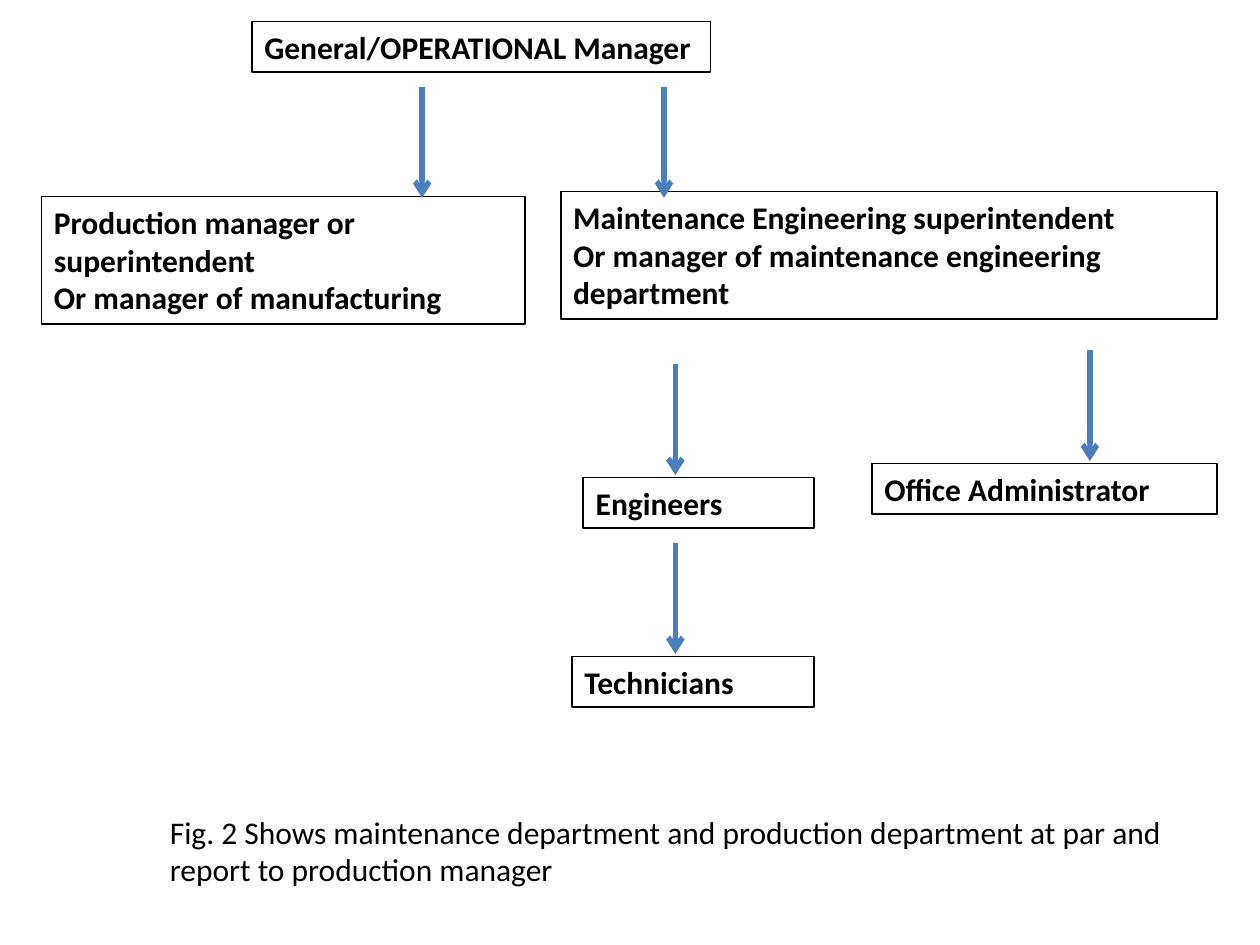
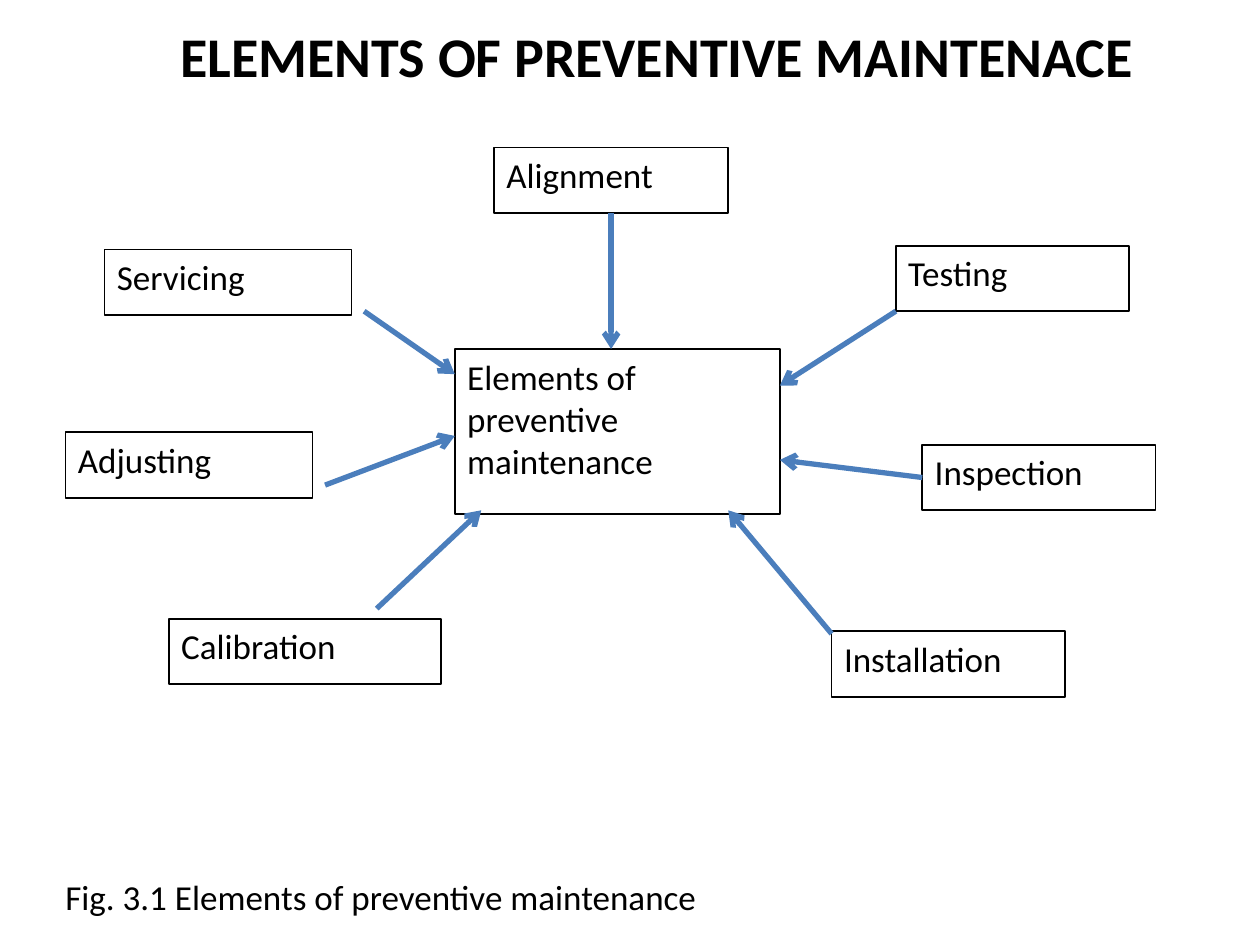
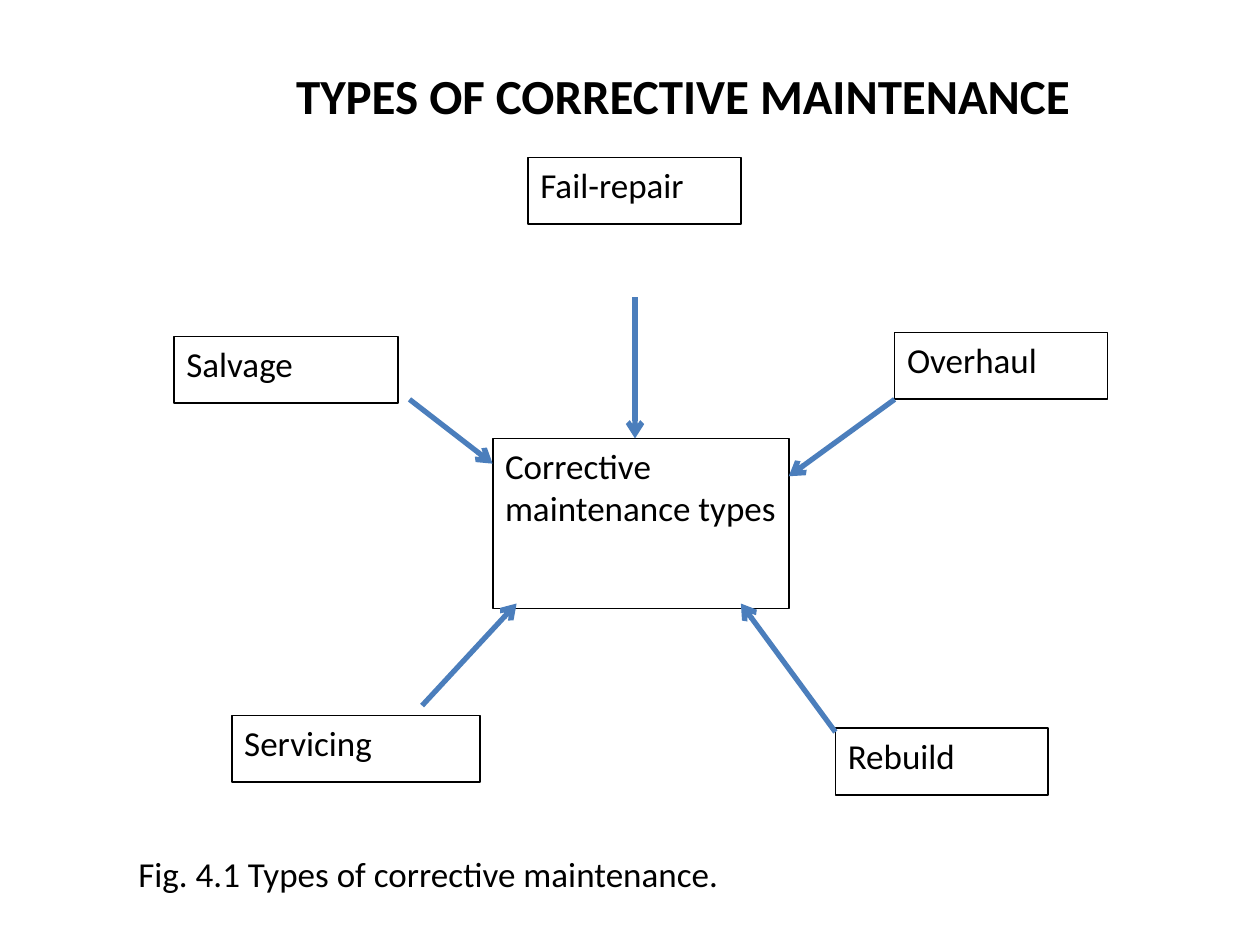
from dataclasses import dataclass
from typing import Optional

import pptx
import pptx.dml.color
import pptx.enum.shapes
import pptx.enum.text
import pptx.oxml
import pptx.oxml.ns
import pptx.shapes.autoshape
import pptx.slide
import pptx.util

SCALE = 9144
BOTTOM, LEFT = 2, 1


def px(size: int) -> int:
    return pptx.util.Emu(size * SCALE)


def tint(code: str) -> pptx.dml.color.RGBColor:
    return pptx.dml.color.RGBColor.from_string(code)


@dataclass(frozen=True)
class Theme:
    font: str = "Calibri"
    ink: str = "000000"
    arrow: str = "4B7EBC"
    edge: int = 1
    stroke: int = 3
    chart: int = 18
    body: int = 20


@dataclass(frozen=True)
class Box:
    text: str
    x: int
    y: int
    wide: int
    high: int


@dataclass(frozen=True)
class Arrow:
    x1: int
    y1: int
    x2: int
    y2: int
    owner: str = ""
    side: int = 0


@dataclass(frozen=True)
class Page:
    note: Box
    boxes: list[Box]
    arrows: list[Arrow]
    size: int
    bold: bool = False
    title: Optional[Box] = None
    head: int = 0


THEME = Theme()

STAFF = Page(
    note=Box("Fig. 2 Shows maintenance department and production department "
             "at par and report to production manager", 125, 640, 850, 93),
    boxes=[
        Box("General/OPERATIONAL Manager", 200, 17, 364, 40),
        Box("Production manager or superintendent\n"
            "Or manager of manufacturing", 33, 156, 384, 101),
        Box("Maintenance Engineering superintendent\n"
            "Or manager of maintenance engineering department",
            445, 152, 521, 101),
        Box("Engineers", 463, 379, 183, 40),
        Box("Technicians", 454, 521, 192, 40),
        Box("Office Administrator", 692, 368, 274, 40),
    ],
    arrows=[Arrow(x, y, x, y + 88) for x, y in
            [(335, 69), (527, 69), (865, 278), (536, 289), (536, 431)]],
    size=THEME.chart,
    bold=True,
)

PREVENT = Page(
    title=Box("ELEMENTS OF PREVENTIVE MAINTENACE", 133, 12, 784, 64),
    head=32,
    note=Box("Fig. 3.1 Elements of preventive maintenance", 42, 690, 958, 52),
    boxes=[
        Box("Elements of preventive maintenance", 361, 277, 258, 131),
        Box("Alignment", 392, 117, 186, 52),
        Box("Testing", 711, 195, 185, 52),
        Box("Inspection", 732, 353, 185, 52),
        Box("Installation", 660, 501, 185, 52),
        Box("Calibration", 134, 491, 216, 52),
        Box("Adjusting", 52, 343, 196, 52),
        Box("Servicing", 83, 198, 196, 52),
    ],
    arrows=[
        Arrow(485, 169, 485, 277, "Alignment", BOTTOM),
        Arrow(711, 247, 619, 306),
        Arrow(732, 379, 619, 365, "Inspection", LEFT),
        Arrow(660, 503, 578, 405),
        Arrow(299, 483, 382, 405),
        Arrow(258, 385, 361, 346),
        Arrow(289, 247, 361, 297),
    ],
    size=THEME.body,
)

CORRECT = Page(
    title=Box("TYPES OF CORRECTIVE MAINTENANCE", 225, 47, 692, 57),
    head=28,
    note=Box("Fig. 4.1 Types of corrective maintenance.", 100, 672, 873, 53),
    boxes=[
        Box("Corrective maintenance types", 391, 348, 235, 135),
        Box("Fail-repair", 419, 125, 169, 53),
        Box("Overhaul", 710, 264, 169, 53),
        Box("Rebuild", 663, 578, 169, 53),
        Box("Servicing", 184, 568, 197, 53),
        Box("Salvage", 138, 267, 178, 53),
    ],
    arrows=[
        Arrow(504, 236, 504, 348),
        Arrow(710, 317, 626, 378),
        Arrow(663, 581, 588, 479),
        Arrow(335, 560, 410, 479),
        Arrow(325, 317, 391, 368),
    ],
    size=THEME.body,
)


def place(box: Box) -> tuple[int, int, int, int]:
    return px(box.x), px(box.y), px(box.wide), px(box.high)


def write(shape: pptx.shapes.autoshape.Shape, text: str, size: int,
          bold: bool) -> None:
    frame = shape.text_frame
    frame.text = text
    frame.word_wrap = True
    frame.auto_size = pptx.enum.text.MSO_AUTO_SIZE.NONE
    frame.vertical_anchor = pptx.enum.text.MSO_ANCHOR.TOP
    for line in frame.paragraphs:
        line.alignment = pptx.enum.text.PP_ALIGN.LEFT
        for run in line.runs:
            run.font.name = THEME.font
            run.font.size = pptx.util.Pt(size)
            run.font.bold = bold
            run.font.color.rgb = tint(THEME.ink)


def add_box(slide: pptx.slide.Slide, box: Box, size: int,
            bold: bool) -> pptx.shapes.autoshape.Shape:
    shape = slide.shapes.add_shape(
        pptx.enum.shapes.MSO_SHAPE.RECTANGLE, *place(box))
    shape.shadow.inherit = False
    shape.fill.background()
    shape.line.color.rgb = tint(THEME.ink)
    shape.line.width = pptx.util.Pt(THEME.edge)
    write(shape, box.text, size, bold)
    return shape


def add_arrow(slide: pptx.slide.Slide, arrow: Arrow,
              drawn: dict[str, pptx.shapes.autoshape.Shape]) -> None:
    link = slide.shapes.add_connector(
        pptx.enum.shapes.MSO_CONNECTOR.STRAIGHT,
        px(arrow.x1), px(arrow.y1), px(arrow.x2), px(arrow.y2))
    if arrow.owner:
        link.begin_connect(drawn[arrow.owner], arrow.side)
    link.line.color.rgb = tint(THEME.arrow)
    link.line.width = pptx.util.Pt(THEME.stroke)
    props = link._element.spPr
    tip = pptx.oxml.parse_xml(
        f'<a:tailEnd {pptx.oxml.ns.nsdecls("a")} type="arrow"/>')
    props.find(pptx.oxml.ns.qn("a:ln")).append(tip)
    props.append(pptx.oxml.parse_xml(
        f'<a:effectLst {pptx.oxml.ns.nsdecls("a")}/>'))


def add_title(slide: pptx.slide.Slide, box: Box, size: int) -> None:
    title = slide.shapes.title
    title.left, title.top, title.width, title.height = place(box)
    write(title, box.text, size, True)


def add_page(deck: pptx.presentation.Presentation, page: Page) -> None:
    slide = deck.slides.add_slide(deck.slide_layouts[5 if page.title else 6])
    if page.title:
        add_title(slide, page.title, page.head)
    note = slide.shapes.add_textbox(*place(page.note))
    write(note, page.note.text, page.size, False)
    drawn = {box.text: add_box(slide, box, page.size, page.bold)
             for box in page.boxes}
    for arrow in page.arrows:
        add_arrow(slide, arrow, drawn)


def main() -> None:
    deck = pptx.Presentation()
    deck.slide_width, deck.slide_height = px(1000), px(750)
    for page in (STAFF, PREVENT, CORRECT):
        add_page(deck, page)
    deck.save("out.pptx")


if __name__ == "__main__":
    main()
